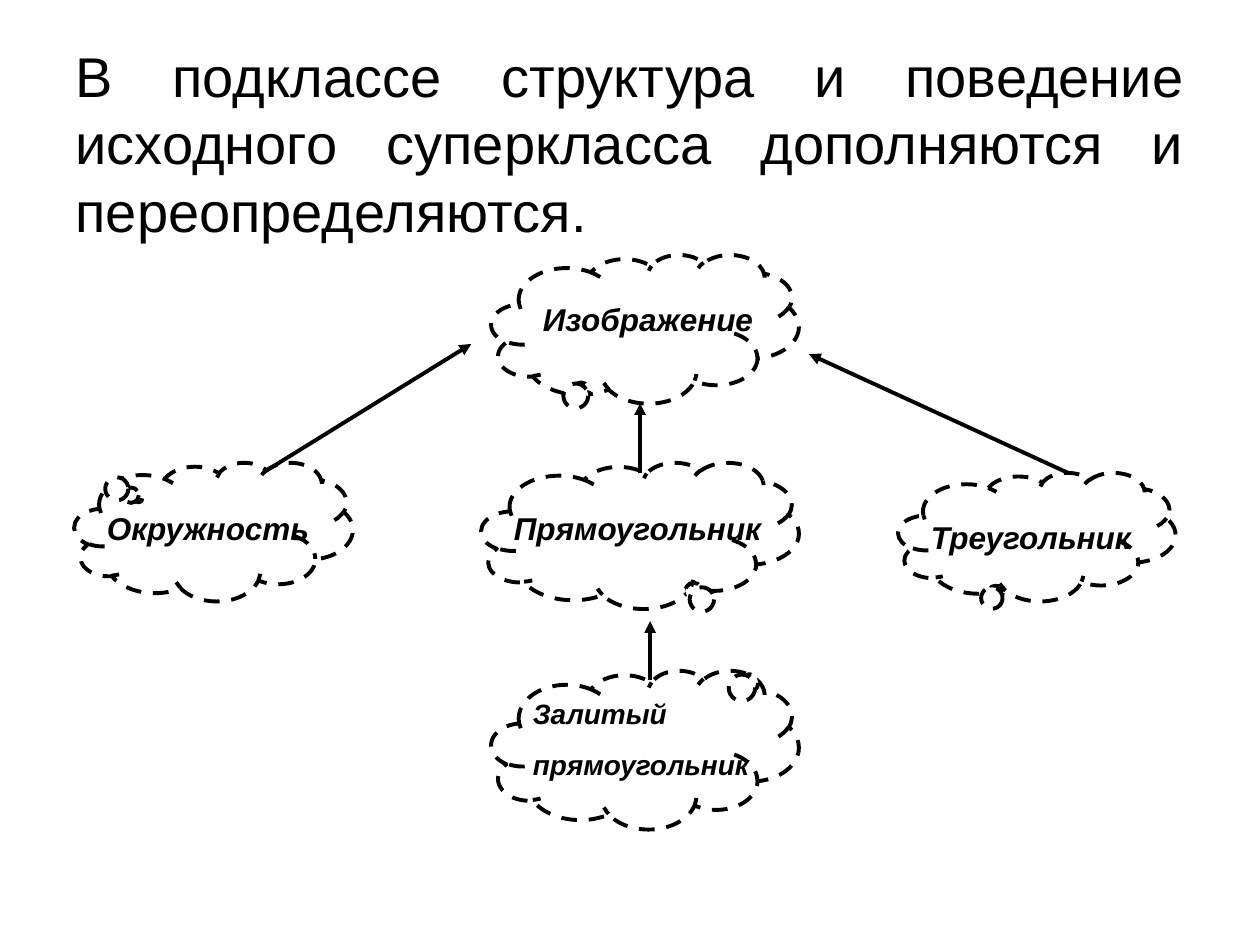
from lxml import etree
from pptx import Presentation
from pptx import util as u
from pptx.dml.color import RGBColor
from pptx.enum import dml, shapes, text
from pptx.oxml.ns import qn

COLOURS = {"ink": "000000", "paper": "FFFFFF"}
FONT = "Arial"
STATEMENT = ("В подклассе структура и поведение исходного суперкласса "
             "дополняются и переопределяются.")

# Cloud: left, top, width, height, then the callout tail's offset
CLOUDS = [
    ((3.9, 2.02, 2.44, 1.18), (-0.21, 0.42)),
    ((0.59, 3.67, 2.21, 1.1), (-0.27, -0.24)),
    ((3.82, 3.67, 2.52, 1.16), (0.16, 0.36)),
    ((7.13, 3.75, 2.2, 1.02), (-0.15, 0.44)),
    ((3.9, 5.32, 2.44, 1.26), (0.34, -0.42)),
]
# Label: lines, place, text size, space before, wrapping
LABELS = [
    (["Изображение"], (4.21, 2.33, 2.28, 0.4), 18, 11.2, True),
    (["Окружность"], (0.75, 3.99, 1.97, 0.4), 18, 11.2, True),
    (["Прямоугольник"], (3.98, 3.99, 2.21, 0.4), 18, 11.2, True),
    (["Треугольник"], (7.29, 4.06, 1.8, 0.4), 18, 0, False),
    (["Залитый", "прямоугольник"], (4.13, 5.48, 2.05, 0.77), 16, 10, True),
]
# Arrow from subclass to superclass: start x, y, end x, y
ARROWS = [
    (2.09, 3.75, 3.74, 2.73),
    (8.47, 3.75, 6.42, 2.81),
    (5.16, 5.4, 5.16, 4.93),
    (5.08, 3.75, 5.08, 3.2),
]


def inches(values):
    return [u.Inches(value) for value in values]


def colour(name):
    return RGBColor.from_string(COLOURS[name])


def format_para(para, size, before, emphasis=False):
    para.space_before = u.Pt(before)
    for span in para.runs:
        span.font.name = FONT
        span.font.size = u.Pt(size)
        span.font.color.rgb = colour("ink")
        span.font.bold = span.font.italic = emphasis


def draw_outline(line):
    line.color.rgb = colour("ink")
    line.width = u.Pt(2.25)


def add_statement(page):
    """Fill the body placeholder with one justified paragraph, no bullet."""
    box = page.placeholders[1]
    box.left, box.top, box.width, box.height = inches((0.5, 0.28, 9, 6.41))
    box.text_frame.text = STATEMENT
    box.text_frame.auto_size = text.MSO_AUTO_SIZE.NONE
    para = box.text_frame.paragraphs[0]
    para.alignment = text.PP_ALIGN.JUSTIFY
    format_para(para, 32, 8)
    properties = para._p.get_or_add_pPr()
    properties.set("marL", "0")
    properties.set("indent", "0")
    etree.SubElement(properties, qn("a:buNone"))


def add_cloud(page, place, tail):
    cloud = page.shapes.add_shape(
        shapes.MSO_SHAPE.CLOUD_CALLOUT, *inches(place))
    cloud.shadow.inherit = False
    cloud.adjustments[0], cloud.adjustments[1] = tail
    cloud.fill.solid()
    cloud.fill.fore_color.rgb = colour("paper")
    draw_outline(cloud.line)
    cloud.line.dash_style = dml.MSO_LINE.DASH


def add_label(page, lines, place, size, before, wrap):
    box = page.shapes.add_textbox(*inches(place))
    box.text_frame.text = "\n".join(lines)
    box.text_frame.word_wrap = wrap
    box.text_frame.auto_size = text.MSO_AUTO_SIZE.SHAPE_TO_FIT_TEXT
    for para in box.text_frame.paragraphs:
        format_para(para, size, before, emphasis=True)


def add_arrow(page, ends):
    arrow = page.shapes.add_connector(
        shapes.MSO_CONNECTOR.STRAIGHT, *inches(ends))
    draw_outline(arrow.line)
    etree.SubElement(arrow.line._get_or_add_ln(), qn("a:tailEnd"),
                     type="triangle")
    etree.SubElement(arrow._element.spPr, qn("a:effectLst"))


def main():
    deck = Presentation()
    deck.slide_width, deck.slide_height = inches((10, 7.5))
    page = deck.slides.add_slide(deck.slide_layouts.get_by_name("Title and Content"))
    title = page.shapes.title._element
    title.getparent().remove(title)

    add_statement(page)
    for cloud in CLOUDS:
        add_cloud(page, *cloud)
    for label in LABELS:
        add_label(page, *label)
    for ends in ARROWS:
        add_arrow(page, ends)
    deck.save("out.pptx")


if __name__ == "__main__":
    main()
